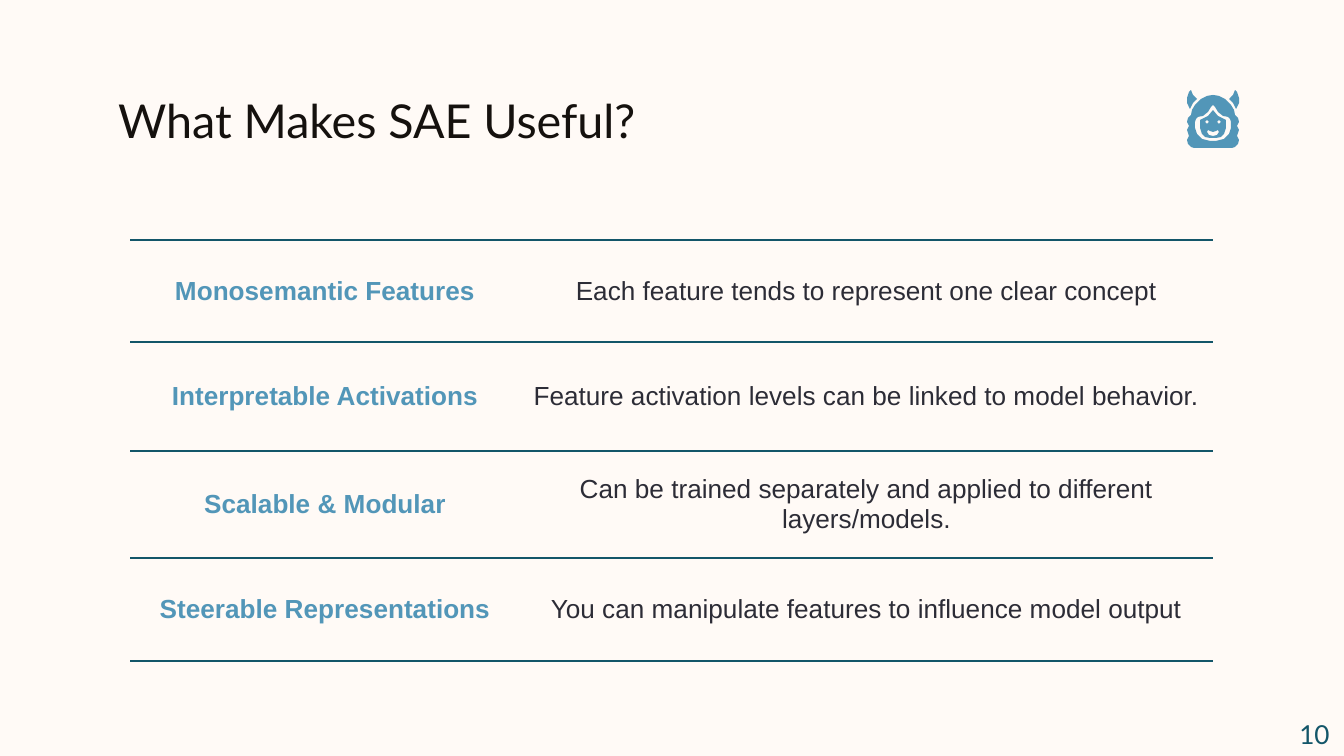
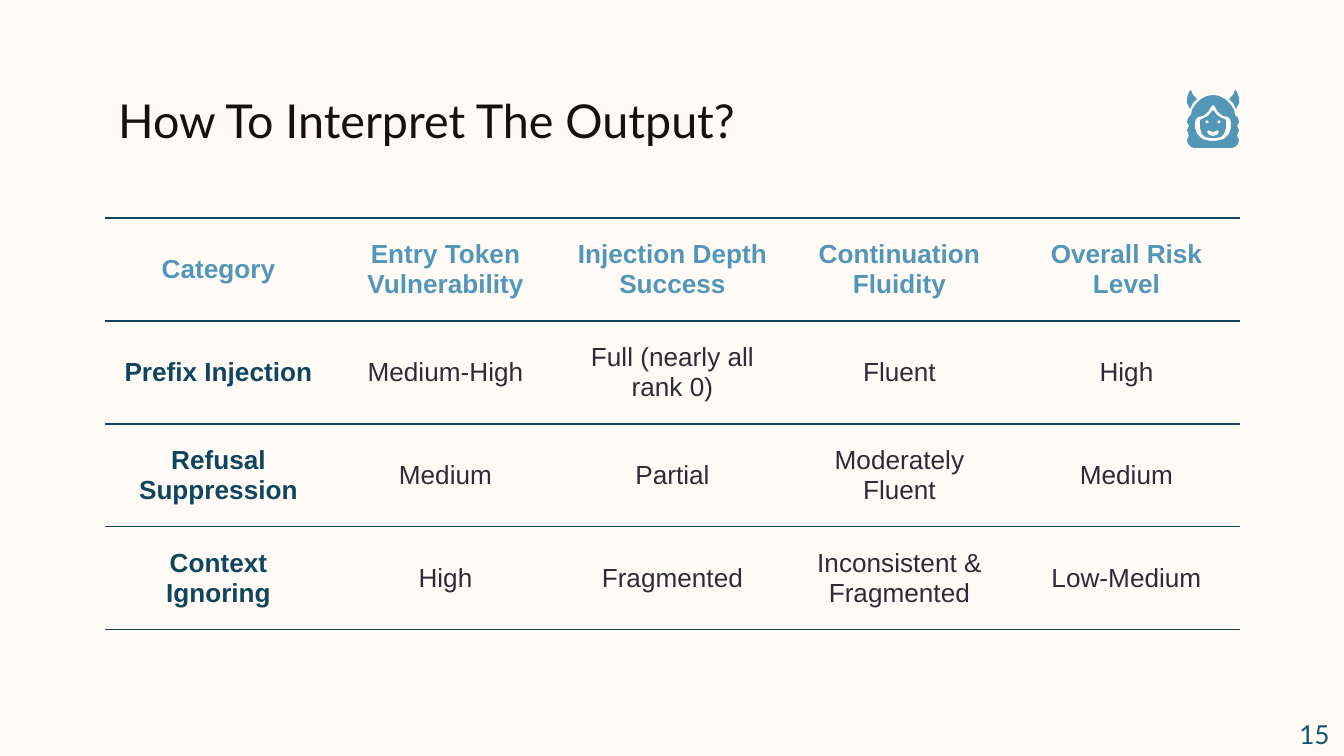
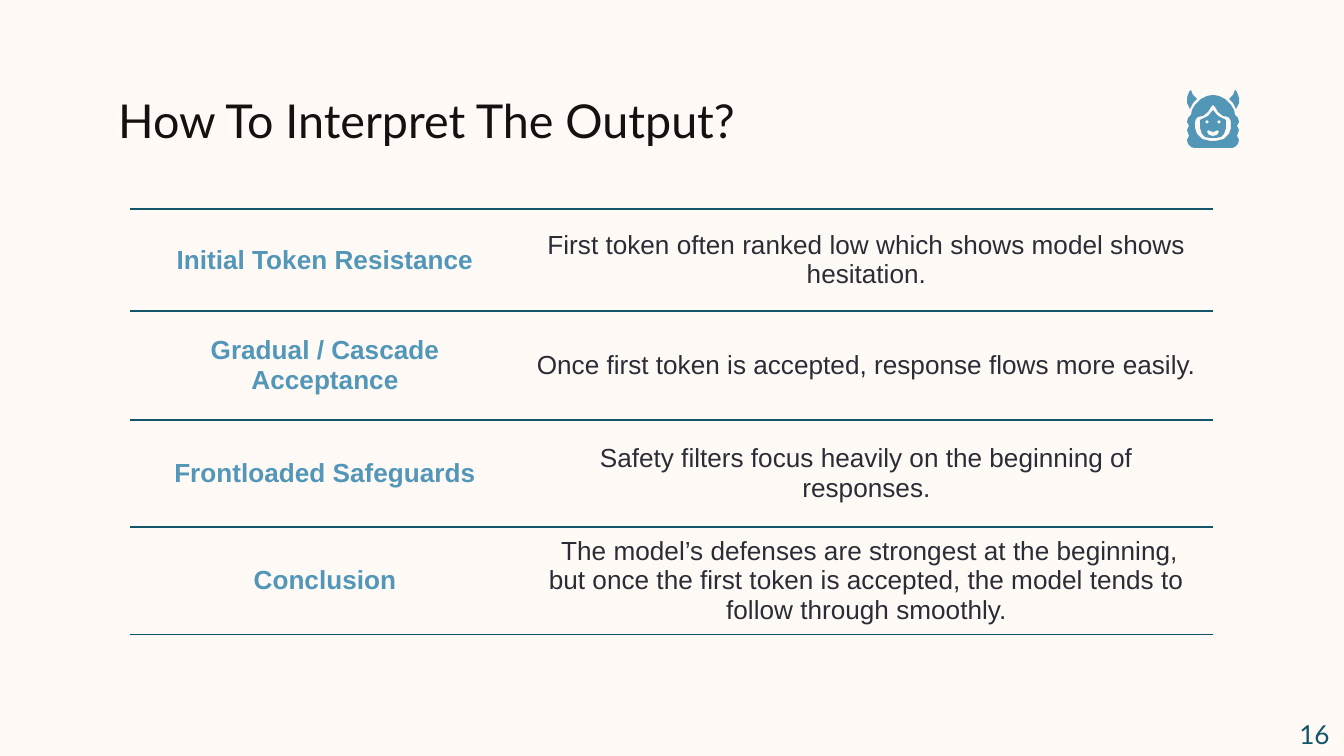
from lxml.etree import SubElement
from pptx import Presentation
from pptx.dml.color import RGBColor
from pptx.enum.text import MSO_AUTO_SIZE as AutoSize
from pptx.enum.text import MSO_VERTICAL_ANCHOR as Anchor
from pptx.enum.text import PP_PARAGRAPH_ALIGNMENT as Align
from pptx.oxml.ns import qn
from pptx.util import Emu, Pt

# Lengths are px, 1344 across a 10 inch slide
SCALE = 9144000 / 1344
WIDTH, HEIGHT = 1344, 756

# Colours
CREAM = RGBColor(0xFF, 0xFA, 0xF6)
BLACK = RGBColor(0x15, 0x11, 0x0E)
INK = RGBColor(0x2C, 0x2C, 0x36)
SKY = RGBColor(0x52, 0x96, 0xB8)
TEAL = RGBColor(0x13, 0x56, 0x69)
NAVY = RGBColor(0x0F, 0x46, 0x5E)

# Text formats
TITLE = {"name": "Lato", "size": Pt(25), "bold": False, "color": BLACK}
NUMBER = {"name": "Lato", "size": Pt(14), "bold": False, "color": TEAL}
BODY = {"name": "Arial", "size": Pt(14), "bold": False, "color": INK}
HEADING = {**BODY, "bold": True, "color": SKY}
CATEGORY = {**HEADING, "color": NAVY}

# Icon outlines: right halves, as (offset from the axis, y)
ICON_AXIS = 1213
HAIR = [(0, 95), (6, 96), (12, 99), (18, 105), (21, 110), (22, 115), (25, 118),
        (26, 122), (24, 126), (26, 130), (24, 136), (26, 140), (25, 144),
        (22, 147), (19, 148)]
FACE_OPENING = [(0, 105), (2, 107), (5, 112), (10, 116), (15, 117), (17, 119),
                (18, 122), (18, 128), (16, 134), (11, 139), (3, 141)]
FACE = [(0, 110), (5, 116), (13, 120), (13, 128), (11, 134), (8, 137), (3, 138)]
SMILE = [(0, 132), (3, 131), (5, 130), (6, 132), (4, 135), (0, 136)]
EYE = [(6, 120), (8, 122), (6, 124), (4, 122)]
HORN = [(22, 90), (24, 92), (26, 98), (26, 103), (23, 109), (20, 103), (16, 99),
        (20, 95)]


def px(length):
    return Emu(round(length * SCALE))


def flip(points):
    return [(-x, y) for x, y in points]


def whole(half):
    return half + flip(half)[::-1]


class Deck:
    """Holds the style and the slide being built."""

    def __init__(self):
        self.presentation = Presentation()
        self.presentation.slide_width = px(WIDTH)
        self.presentation.slide_height = px(HEIGHT)
        self.slide = None

    def new_slide(self, title, number):
        layout = self.presentation.slide_layouts[6]
        self.slide = self.presentation.slides.add_slide(layout)
        self.slide.background.fill.solid()
        self.slide.background.fill.fore_color.rgb = CREAM
        self.text(title, (105, 79, 1134, 81), TITLE, Align.LEFT, inset=13)
        self.icon()
        number_box = self.text(number, (1269, 711, 91, 46), NUMBER, Align.CENTER)
        number_box.auto_size = AutoSize.SHAPE_TO_FIT_TEXT

    def fill_text(self, frame, text, style, align):
        paragraph = frame.paragraphs[0]
        paragraph.alignment = align
        run = paragraph.add_run()
        run.text = text
        for name, value in style.items():
            if name == "color":
                run.font.color.rgb = value
            else:
                setattr(run.font, name, value)

    def text(self, text, box, style, align, inset=7):
        frame = self.slide.shapes.add_textbox(*map(px, box)).text_frame
        frame.word_wrap = True
        frame.margin_top = frame.margin_bottom = px(inset)
        self.fill_text(frame, text, style, align)
        return frame

    def outline(self, shapes, contours):
        """Draws one filled shape; later contours cut holes in the first."""
        builder = None
        for contour in contours:
            points = [(ICON_AXIS + x, y) for x, y in contour]
            if builder is None:
                builder = shapes.build_freeform(*points[0], scale=SCALE)
            else:
                builder.move_to(*points[0])
            builder.add_line_segments(points[1:], close=True)
        shape = builder.convert_to_shape()
        shape.shadow.inherit = False
        shape.fill.solid()
        shape.fill.fore_color.rgb = SKY
        shape.line.fill.background()

    def icon(self):
        shapes = self.slide.shapes.add_group_shape().shapes
        self.outline(shapes, [whole(FACE), EYE, flip(EYE), whole(SMILE)])
        self.outline(shapes, [whole(HAIR), whole(FACE_OPENING)])
        for horn in (HORN, flip(HORN)):
            self.outline(shapes, [horn])

    def rule_cell(self, cell, color, width):
        """Rules above and below the cell, none at its sides."""
        properties = cell._tc.get_or_add_tcPr()
        for side in "LRTB":
            line = SubElement(properties, qn(f"a:ln{side}"), w=str(Pt(width)))
            if side in "LR":
                SubElement(line, qn("a:noFill"))
            else:
                fill = SubElement(line, qn("a:solidFill"))
                SubElement(fill, qn("a:srgbClr"), val=str(color))

    def table(self, left, top, widths, heights, rows, style_of, rule):
        frame = self.slide.shapes.add_table(
            len(heights), len(widths), px(left), px(top),
            px(sum(widths)), px(sum(heights)))
        table = frame.table
        table.first_row = table.horz_banding = False
        for column, width in zip(table.columns, widths):
            column.width = px(width)
        for row, height in zip(table.rows, heights):
            row.height = px(height)
        for i, texts in enumerate(rows):
            for j, text in enumerate(texts):
                cell = table.cell(i, j)
                self.rule_cell(cell, *rule)
                cell.fill.background()
                cell.vertical_anchor = Anchor.MIDDLE
                self.fill_text(cell.text_frame, text, style_of(i, j), Align.CENTER)

    def term_table(self, top, rows):
        self.table(130, top, [390, 693], [102, 109, 107, 103], rows,
                   lambda i, j: BODY if j else HEADING, (TEAL, 1))

    def grid_table(self, top, rows):
        def style_of(i, j):
            if i == 0:
                return HEADING
            return BODY if j else CATEGORY

        self.table(105, top, [227] * len(rows[0]), [103] * len(rows), rows,
                   style_of, (NAVY, 0.75))


def main():
    deck = Deck()

    # Usefulness of SAE
    deck.new_slide("What Makes SAE Useful?", "10")
    deck.term_table(240, [
        ("Monosemantic Features",
         "Each feature tends to represent one clear concept"),
        ("Interpretable Activations",
         "Feature activation levels can be linked to model behavior."),
        ("Scalable & Modular",
         "Can be trained separately and applied to different layers/models."),
        ("Steerable Representations",
         "You can manipulate features to influence model output"),
    ])

    # Risk by category
    deck.new_slide("How To Interpret The Output?", "15")
    deck.grid_table(218, [
        ("Category", "Entry Token Vulnerability", "Injection Depth Success",
         "Continuation Fluidity", "Overall Risk Level"),
        ("Prefix Injection", "Medium-High", "Full (nearly all rank 0)",
         "Fluent", "High"),
        ("Refusal Suppression", "Medium", "Partial", "Moderately Fluent",
         "Medium"),
        ("Context Ignoring", "High", "Fragmented", "Inconsistent & Fragmented",
         "Low-Medium"),
    ])

    # Findings
    deck.new_slide("How To Interpret The Output?", "16")
    deck.term_table(209, [
        ("Initial Token Resistance",
         "First token often ranked low which shows model shows hesitation."),
        ("Gradual / Cascade Acceptance",
         "Once first token is accepted, response flows more easily."),
        ("Frontloaded Safeguards",
         "Safety filters focus heavily on the beginning of responses."),
        ("Conclusion",
         " The model’s defenses are strongest at the beginning, but once the "
         "first token is accepted, the model tends to follow through smoothly."),
    ])

    deck.presentation.save("out.pptx")


if __name__ == "__main__":
    main()
